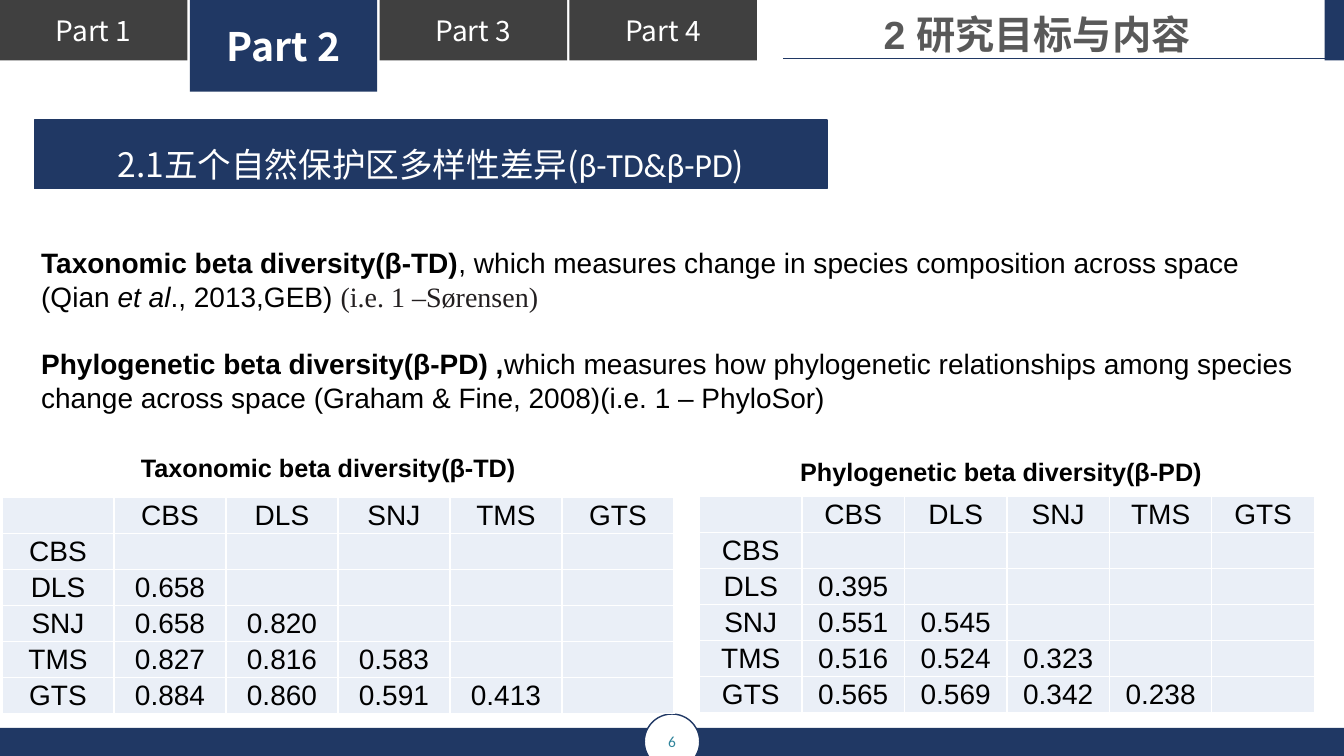
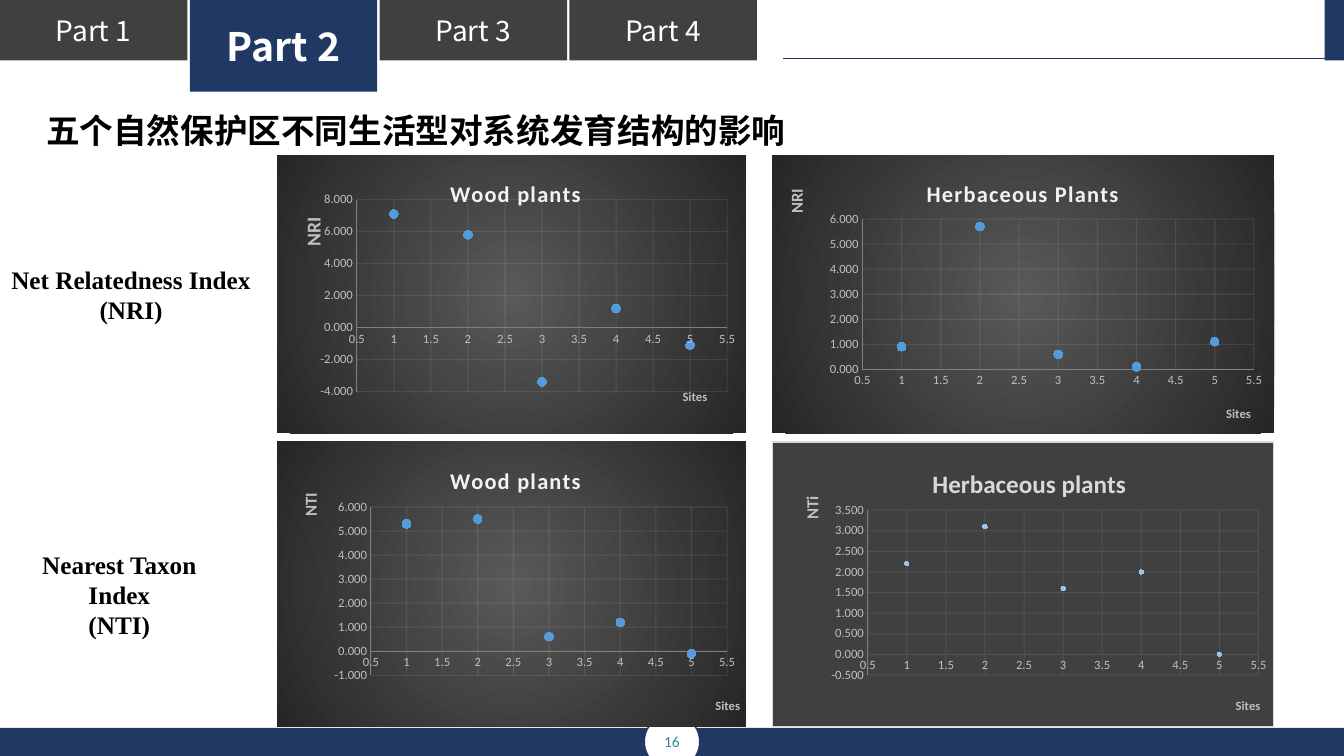
from dataclasses import dataclass, replace

from lxml import etree
from pptx import Presentation
from pptx.chart.data import XyChartData
from pptx.dml.color import RGBColor
from pptx.enum.chart import XL_CHART_TYPE, XL_MARKER_STYLE, XL_TICK_MARK
from pptx.enum.shapes import MSO_CONNECTOR, MSO_SHAPE
from pptx.enum.text import MSO_ANCHOR, MSO_AUTO_SIZE, PP_ALIGN
from pptx.oxml.ns import qn
from pptx.util import Emu, Inches, Pt

RECT, OVAL = MSO_SHAPE.RECTANGLE, MSO_SHAPE.OVAL
STRAIGHT = MSO_CONNECTOR.STRAIGHT
LEFT, CENTER = PP_ALIGN.LEFT, PP_ALIGN.CENTER
MIDDLE = MSO_ANCHOR.MIDDLE
FIT_SHAPE = MSO_AUTO_SIZE.SHAPE_TO_FIT_TEXT
SCATTER = XL_CHART_TYPE.XY_SCATTER
CIRCLE = XL_MARKER_STYLE.CIRCLE
NO_TICK = XL_TICK_MARK.NONE

COLUMNS, ROWS = 80, 45
CELL = Inches(1 / 6)
CJK = "Noto Sans CJK SC"


@dataclass(frozen=True)
class Type:
    size: float
    font: str
    color: str = "000000"
    bold: bool = False
    italic: bool = False


class Theme:
    navy, grey, white = "203864", "404040", "FFFFFF"
    cell = "EAEFF7"
    axis, border = "808080", "D9D9D9"
    glow, shade = "595959", "262626"

    tab = Type(20, CJK, "FFFFFF")
    active_tab = Type(28, CJK, "FFFFFF", True)
    page = Type(11, "Calibri", "31859C")
    title = Type(28, "Arial", "595959", True)
    banner = Type(24, CJK, "FFFFFF")
    heading = Type(24, CJK, bold=True)
    body = Type(20, "Arial")
    caption = Type(18, "Arial", bold=True)
    index = Type(18, "Times New Roman", bold=True)
    chart_title = Type(16, "Calibri", "F2F2F2", True)
    axis_title = Type(9, "Calibri", "BFBFBF", True)
    tick = Type(9, "Calibri", "BFBFBF")


@dataclass(frozen=True)
class ChartLook:
    marker: str = "559BDB"
    marker_size: int = 6
    grid: str = "F2F2F2"
    grid_alpha: int = 10
    title: Type = Theme.chart_title
    spacing: int = 100
    flat: bool = False


GLOWING = ChartLook()
FLAT = ChartLook("9DC3E6", 3, "595959", 75,
                 Type(18, "Calibri", "D9D9D9", True), 0, True)


def grid(*cells):
    return [Emu(round(n * CELL)) for n in cells]


def child(parent, tag, **attributes):
    return etree.SubElement(parent, qn(tag), attributes)


def style_font(font, look):
    font.size, font.name = Pt(look.size), look.font
    font.bold, font.italic = look.bold, look.italic
    font.color.rgb = RGBColor.from_string(look.color)


def style_run(run, look):
    style_font(run.font, look)
    child(run._r.get_or_add_rPr(), "a:ea", typeface=CJK)


def solid_xml(parent, color):
    return child(child(parent, "a:solidFill"), "a:srgbClr", val=color)


def place(parent, inner=False, **shares):
    """Fix a chart part at shares of the chart's size."""
    layout = parent.find(qn("c:layout"))
    if layout is None:
        layout = etree.Element(qn("c:layout"))
        parent.insert(0, layout)
    manual = child(layout, "c:manualLayout")
    if inner:
        child(manual, "c:layoutTarget", val="inner")
    for mode in ("c:xMode", "c:yMode"):
        child(manual, mode, val="edge")
    for key, share in shares.items():
        child(manual, "c:" + key, val=str(share))


def write_title(title, text, look, x, y, spacing=0):
    """Write the title of a chart or an axis, at shares of the chart's size."""
    line = title.text_frame.paragraphs[0]
    line.text = text
    style_run(line.runs[0], look)
    line.runs[0]._r.get_or_add_rPr().set("spc", str(spacing))
    place(title.element, x=x, y=y)


class Deck:
    def __init__(self):
        self.show = Presentation()
        self.show.slide_width, self.show.slide_height = grid(COLUMNS, ROWS)
        self.slide = None

    def new_slide(self, page):
        """Start a slide with the tabs, rule and footer that all slides share."""
        self.slide = self.show.slides.add_slide(self.show.slide_layouts[6])
        for i in range(4):
            active = i == 1
            self.block((i * 11.3, 0, 11.16, 5.46 if active else 3.6),
                       Theme.navy if active else Theme.grey, f"Part {i + 1}",
                       Theme.active_tab if active else Theme.tab)
        self.block((78.84, 0, 1.16, 3.6), Theme.navy)
        self.block((0, 43.32, COLUMNS, 1.68), Theme.navy)
        self.block((38.35, 42.5, 3.3, 3.3), Theme.white, str(page), Theme.page,
                   shape=OVAL, line=Theme.navy)
        self.rule(79.4, 46.6, 3.5)

    def block(self, box, fill, text="", look=None, shape=RECT, line=None):
        block = self.slide.shapes.add_shape(shape, *grid(*box))
        block.shadow.inherit = False
        block.fill.solid()
        block.fill.fore_color.rgb = RGBColor.from_string(fill)
        if line:
            block.line.color.rgb = RGBColor.from_string(line)
            block.line.width = Pt(1)
        else:
            block.line.fill.background()
        frame = block.text_frame
        frame.vertical_anchor = MIDDLE
        if text:
            frame.text = text
            frame.paragraphs[0].alignment = CENTER
            style_run(frame.paragraphs[0].runs[0], look)
        return frame

    def rule(self, start, end, y):
        rule = self.slide.shapes.add_connector(STRAIGHT, *grid(start, y, end, y))
        rule.line.color.rgb = RGBColor.from_string(Theme.navy)
        rule.line.width = Pt(0.5)
        child(rule.element.spPr, "a:effectLst")

    def banner(self, box, parts):
        line = self.block(box, Theme.navy, line=Theme.navy).paragraphs[0]
        line.alignment, line.line_spacing = CENTER, 1.5
        self.fill_line(line, parts)

    def fill_line(self, line, parts):
        for text, look in parts:
            run = line.add_run()
            run.text = text
            style_run(run, look)

    def text(self, box, lines, align=LEFT, wrap=False, gap=0, spacing=None):
        """Write lines, each a list of (text, type) parts."""
        frame = self.slide.shapes.add_textbox(*grid(*box)).text_frame
        frame.word_wrap, frame.auto_size = wrap, FIT_SHAPE
        for i, parts in enumerate(lines):
            line = frame.add_paragraph() if i else frame.paragraphs[0]
            line.alignment = align
            if spacing:
                line.line_spacing = spacing
            if i and gap:
                line.space_before = Pt(gap)
            self.fill_line(line, parts)

    def triangle(self, box, sites, values):
        """Draw a table of pairwise values below the diagonal."""
        size = len(sites) + 1
        table = self.slide.shapes.add_table(size, size, *grid(*box)).table
        table.first_row = table.horz_banding = False
        rows = [["", *sites]] + [[site, *row] for site, row in zip(sites, values)]
        for r, row in enumerate(rows):
            for c in range(size):
                self.table_cell(table.cell(r, c), row[c] if c < len(row) else "")

    def table_cell(self, cell, text):
        cell.fill.solid()
        cell.fill.fore_color.rgb = RGBColor.from_string(Theme.cell)
        cell.vertical_anchor = MIDDLE
        cell.margin_left = cell.margin_right = cell.margin_top = Inches(0.01)
        cell.margin_bottom = 0
        if text:
            cell.text_frame.text = text
            line = cell.text_frame.paragraphs[0]
            line.alignment = CENTER
            style_run(line.runs[0], Theme.body)
        properties = cell._tc.get_or_add_tcPr()
        for i, side in enumerate(("a:lnL", "a:lnR", "a:lnT", "a:lnB")):
            border = etree.Element(qn(side), w=str(Pt(1)))
            solid_xml(border, Theme.white)
            properties.insert(i, border)

    def scatter(self, box, title, index, values, scale, plot, look=GLOWING):
        """Plot one value per site.

        title is (text, x, y); index is (text, size, x, y, sites x, sites y).
        """
        data = XyChartData()
        series = data.add_series("Series 1")
        for site, value in enumerate(values, 1):
            series.add_data_point(site, value)
        chart = self.slide.shapes.add_chart(SCATTER, *grid(*box), data).chart
        chart.has_legend = False
        style_font(chart.font, replace(Theme.tick, size=10))
        self.chart_background(chart, look)
        place(chart.element.chart.plotArea, True, **dict(zip("xywh", plot)))
        name, size, x, y, sites_x, sites_y = index
        write_title(chart.chart_title, title[0], look.title, *title[1:], look.spacing)
        write_title(chart.value_axis.axis_title, name,
                    replace(Theme.axis_title, size=size), x, y)
        write_title(chart.category_axis.axis_title, "Sites", Theme.axis_title,
                    sites_x, sites_y)
        self.axis(chart.category_axis, (0.5, 5.5, 0.5), "General", look, not look.flat)
        self.axis(chart.value_axis, scale, "0.000", look)

        chart.plots[0].vary_by_categories = False
        dots = chart.plots[0].series[0]
        dots.smooth = False
        dots.format.line.fill.background()
        dots.marker.style, dots.marker.size = CIRCLE, look.marker_size
        dots.marker.format.fill.solid()
        dots.marker.format.fill.fore_color.rgb = RGBColor.from_string(look.marker)
        dots.marker.format.line.fill.background()

    def chart_background(self, chart, look):
        background = etree.Element(qn("c:spPr"))
        if look.flat:
            solid_xml(background, Theme.grey)
            solid_xml(child(background, "a:ln", w=str(Pt(0.75))), Theme.border)
        else:
            gradient = child(background, "a:gradFill")
            stops = child(gradient, "a:gsLst")
            for pos, color in (("0", Theme.glow), ("100000", Theme.shade)):
                child(child(stops, "a:gs", pos=pos), "a:srgbClr", val=color)
            center = dict.fromkeys("ltrb", "50000")
            child(child(gradient, "a:path", path="circle"), "a:fillToRect", **center)
            child(child(background, "a:ln"), "a:noFill")
        chart.element.chart.addnext(background)

    def axis(self, axis, scale, number_format, look, line=True):
        axis.minimum_scale, axis.maximum_scale, axis.major_unit = scale
        axis.major_tick_mark = axis.minor_tick_mark = NO_TICK
        style_font(axis.tick_labels.font, Theme.tick)
        axis.tick_labels.number_format = number_format
        axis.tick_labels.number_format_is_linked = False
        if line:
            axis.format.line.color.rgb = RGBColor.from_string(Theme.axis)
            axis.format.line.width = Pt(0.75)
        else:
            axis.format.line.fill.background()
        axis.has_major_gridlines = True
        mesh = axis.major_gridlines.format.line
        mesh.color.rgb = RGBColor.from_string(look.grid)
        mesh.width = Pt(0.75)
        for color in axis._element.find(qn("c:majorGridlines")).iter(qn("a:srgbClr")):
            child(color, "a:alpha", val=str(look.grid_alpha * 1000))


def diversity_slide(deck):
    deck.new_slide(6)
    deck.text((45.2, 0.3, 33.06, 3.4), [[("2 研究目标与内容", Theme.title)]],
              CENTER, wrap=True)
    deck.banner((2.04, 7.14, 47.2, 4.1), [
        ("2.1五个自然保护区多样性差异(", Theme.banner),
        ("β-TD&β-PD", replace(Theme.banner, font="Calibri")),
        (")", Theme.banner)])
    body = Theme.body
    strong, slanted = replace(body, bold=True), replace(body, italic=True)
    serif = replace(body, font="Times New Roman", color="231F20")
    deck.text((1.86, 14.34, 76.4, 12.7), [
        [("Taxonomic beta diversity(β-TD)", strong),
         (", which measures change in species composition across space (Qian ", body),
         ("et al", slanted), ("., 2013,GEB) ", body), ("(i.e. 1 –Sørensen)", serif)],
        [("Phylogenetic beta diversity(β-PD) ,", strong),
         ("which measures how phylogenetic relationships among species change "
          "across space (Graham & Fine, 2008)(i.e. 1 – PhyloSor)", body)],
    ], wrap=True, gap=24)

    sites = ["CBS", "DLS", "SNJ", "TMS", "GTS"]
    taxonomic = [[], ["0.658"], ["0.658", "0.820"], ["0.827", "0.816", "0.583"],
                 ["0.884", "0.860", "0.591", "0.413"]]
    phylogenetic = [[], ["0.395"], ["0.551", "0.545"], ["0.516", "0.524", "0.323"],
                    ["0.565", "0.569", "0.342", "0.238"]]
    deck.triangle((0.12, 29.6, 40, 12.87), sites, taxonomic)
    deck.triangle((41.64, 29.55, 36.6, 12.87), sites, phylogenetic)
    deck.text((7.8, 26.64, 24.6, 2.4),
              [[("Taxonomic beta diversity(β-TD)", Theme.caption)]])
    deck.text((47.04, 26.88, 25.8, 2.4),
              [[("Phylogenetic beta diversity(β-PD)", Theme.caption)]])


def life_form_slide(deck):
    deck.new_slide(16)
    wood, herb = (16.5, 27.9), (45.96, 29.88)
    upper, lower = (9.24, 16.56), (26.28, 16.98)

    def panel(column, row):
        return column[0], row[0], column[1], row[1]

    deck.scatter(panel(wood, upper), ("Wood plants", 0.36, 0.07),
                 ("NRI", 14, 0.04, 0.21, 0.86, 0.83),
                 [7.1, 5.8, -3.4, 1.2, -1.1], (-4, 8, 2), (0.17, 0.16, 0.79, 0.69))
    deck.scatter(panel(wood, lower), ("Wood plants", 0.36, 0.07),
                 ("NTI", 12, 0.04, 0.17, 0.93, 0.89),
                 [5.3, 5.5, 0.6, 1.2, -0.1], (-1, 6, 1), (0.2, 0.23, 0.76, 0.59))
    deck.scatter(panel(herb, upper), ("Herbaceous Plants", 0.3, 0.07),
                 ("NRI", 12, 0.02, 0.11, 0.9, 0.89),
                 [0.9, 5.7, 0.6, 0.1, 1.1], (0, 6, 1), (0.18, 0.23, 0.78, 0.54))
    deck.scatter(panel(herb, lower), ("Herbaceous plants", 0.31, 0.07),
                 ("NTi", 12, 0.05, 0.18, 0.92, 0.89),
                 [2.2, 3.1, 1.6, 2, 0], (-0.5, 3.5, 0.5), (0.19, 0.24, 0.78, 0.58),
                 FLAT)
    for top, width, name, short in ((15.42, 15.6, "Net Relatedness Index", "(NRI)"),
                                    (32.4, 14.2, "Nearest Taxon Index", "(NTI)")):
        deck.text((0, top, width, 4.26),
                  [[(name, Theme.index)], [(short, Theme.index)]], CENTER)
    deck.text((2.16, 5.04, 45.9, 4.26),
              [[("五个自然保护区不同生活型对系统发育结构的影响", Theme.heading)]], spacing=1.5)


def main():
    deck = Deck()
    diversity_slide(deck)
    life_form_slide(deck)
    deck.show.save("out.pptx")


if __name__ == "__main__":
    main()
